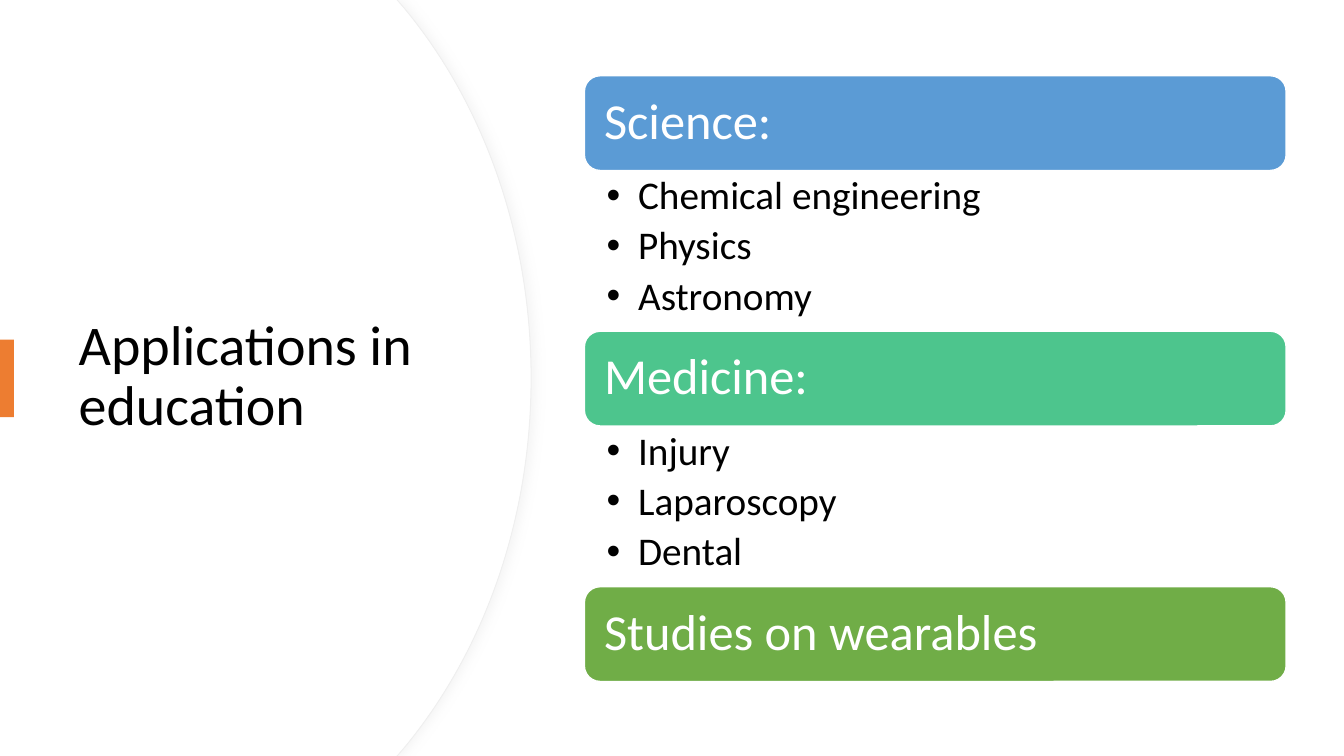
from dataclasses import dataclass

from lxml import etree
from pptx import Presentation
from pptx.dml.color import RGBColor
from pptx.enum.shapes import MSO_SHAPE
from pptx.enum.text import MSO_ANCHOR, MSO_AUTO_SIZE, PP_ALIGN
from pptx.oxml.ns import qn
from pptx.util import Pt

RECT, ROUND = MSO_SHAPE.RECTANGLE, MSO_SHAPE.ROUNDED_RECTANGLE
TOP, MIDDLE = MSO_ANCHOR.TOP, MSO_ANCHOR.MIDDLE
LEFT, FIXED = PP_ALIGN.LEFT, MSO_AUTO_SIZE.NONE


@dataclass(frozen=True)
class Theme:
    """Colours, font and type sizes of the slide."""
    font: str = "Calibri"
    ink: str = "000000"
    paper: str = "FFFFFF"
    edge: str = "EFEFEF"
    shade: str = "D9D9D9"
    accent: str = "ED7D31"
    blue: str = "5B9BD5"
    mint: str = "4DC58D"
    green: str = "70AD47"
    title: int = 40
    head: int = 36
    item: int = 28


THEME = Theme()
WIDE, HIGH = 960, 540
TOPICS = [
    ("Science:", THEME.blue, ["Chemical engineering", "Physics", "Astronomy"]),
    ("Medicine:", THEME.mint, ["Injury", "Laparoscopy", "Dental"]),
    ("Studies on wearables", THEME.green, []),
]


def paint(shape, fill, line=None, width=1):
    """Set the fill and outline of a shape and drop its shadow."""
    shape.shadow.inherit = False
    shape.fill.solid()
    shape.fill.fore_color.rgb = RGBColor.from_string(fill)
    if line:
        shape.line.color.rgb = RGBColor.from_string(line)
        shape.line.width = Pt(width)
    else:
        shape.line.fill.background()


def write(shape, lines, size, color=THEME.ink, anchor=MIDDLE,
          pads=(7.2, 3.6, 7.2, 3.6), after=0, hang=0):
    """Write lines of text into a shape, bulleted when hang is given."""
    frame = shape.text_frame
    frame.word_wrap, frame.auto_size = True, FIXED
    frame.vertical_anchor = anchor
    (frame.margin_left, frame.margin_top,
     frame.margin_right, frame.margin_bottom) = map(Pt, pads)
    frame.text = "\n".join(lines)
    for para in frame.paragraphs:
        para.alignment, para.line_spacing = LEFT, 0.9
        para.space_before, para.space_after = Pt(0), Pt(after)
        font = para.runs[0].font
        font.name, font.size = THEME.font, Pt(size)
        font.color.rgb = RGBColor.from_string(color)
        if hang:
            props = para._p.get_or_add_pPr()
            props.set("marL", str(Pt(hang)))
            props.set("indent", str(-Pt(hang)))
            etree.SubElement(props, qn("a:buFont"), typeface="Arial")
            etree.SubElement(props, qn("a:buChar"), char="•")


def cast(shape):
    """Give a shape a soft shadow to its right."""
    effects = shape._element.spPr.find(qn("a:effectLst"))
    outer = etree.SubElement(effects, qn("a:outerShdw"), blurRad=str(Pt(7)),
                             dist=str(Pt(3)), dir="0", rotWithShape="0")
    tint = etree.SubElement(outer, qn("a:srgbClr"), val=THEME.shade)
    etree.SubElement(tint, qn("a:alpha"), val="25000")


def bend(shape, first):
    """Turn six line segments, from the given one on, into two curves."""
    lines = list(shape._element.iter(qn("a:lnTo")))
    for start in (first, first + 3):
        trio = lines[start:start + 3]
        curve = etree.Element(qn("a:cubicBezTo"))
        trio[0].addprevious(curve)
        for line in trio:
            curve.append(line[0])
            line.getparent().remove(line)


def bulge(slide, left, top, wide, high):
    """Draw a panel whose right side bows out to the width of the box."""
    upper = [(wide - 95.7, 0), (wide - 90.7, 5.8),
             (wide - 34.5, 73.4), (wide, 167)]
    lower = [(x, high - y) for x, y in reversed(upper)]
    points = [(Pt(left + x), Pt(top + y))
              for x, y in upper + [(wide, high / 2)] + lower + [(0, high)]]
    pen = slide.shapes.build_freeform(Pt(left), Pt(top))
    pen.add_line_segments(points, close=True)
    panel = pen.convert_to_shape()
    bend(panel, 2)
    return panel


def side(slide, left, top, wide, high):
    """Draw the curved left panel with the slide title and its marker."""
    back = bulge(slide, left, top, wide, high)
    paint(back, THEME.paper, THEME.edge, 0.75)
    cast(back)
    paint(bulge(slide, left, top, wide - 0.7, high), THEME.paper)
    title = slide.shapes.title
    title.left, title.top = Pt(left + 49), Pt(top + 91.4)
    title.width, title.height = Pt(283.7), Pt(356.4)
    write(title, ["Applications in education"], THEME.title)
    title.element.getparent().append(title.element)
    mark = slide.shapes.add_shape(RECT, Pt(left), Pt(top + 242.6),
                                  Pt(10), Pt(55.4))
    paint(mark, THEME.accent)


def topics(slide, left, top, wide, high):
    """Stack the topic bars, each followed by its bulleted list."""
    bar = 67.7
    gap = (high - bar * len(TOPICS)) / (len(TOPICS) - 1)
    for row, (head, color, items) in enumerate(TOPICS):
        y = top + row * (bar + gap)
        band = slide.shapes.add_shape(ROUND, Pt(left), Pt(y),
                                      Pt(wide), Pt(bar))
        paint(band, color, THEME.paper)
        write(band, [head], THEME.head, THEME.paper,
              pads=(10.8, 10.8, 10.8, 10.8))
        if items:
            box = slide.shapes.add_textbox(Pt(left), Pt(y + bar),
                                           Pt(wide), Pt(gap))
            write(box, items, THEME.item, anchor=TOP,
                  pads=(15.9, 3.8, 19.9, 3.8), after=5.6, hang=22.5)


def main():
    """Build the slide and save it."""
    deck = Presentation()
    deck.slide_width, deck.slide_height = Pt(WIDE), Pt(HIGH)
    slide = deck.slides.add_slide(deck.slide_layouts[5])
    side(slide, 0, 0, 379.4, HIGH)
    topics(slide, 417.4, 54.1, 501.3, 432.7)
    deck.save("out.pptx")


if __name__ == "__main__":
    main()
